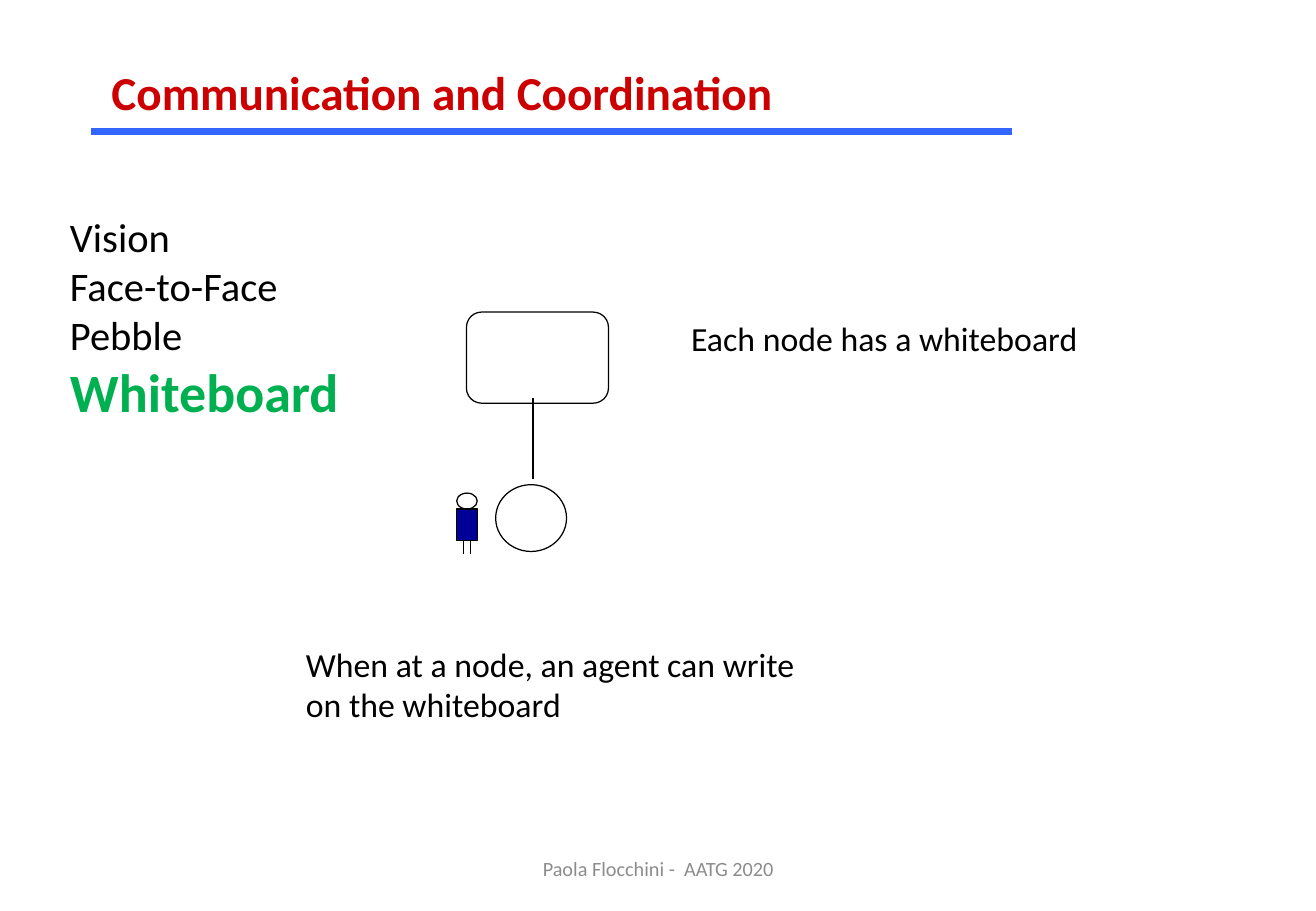
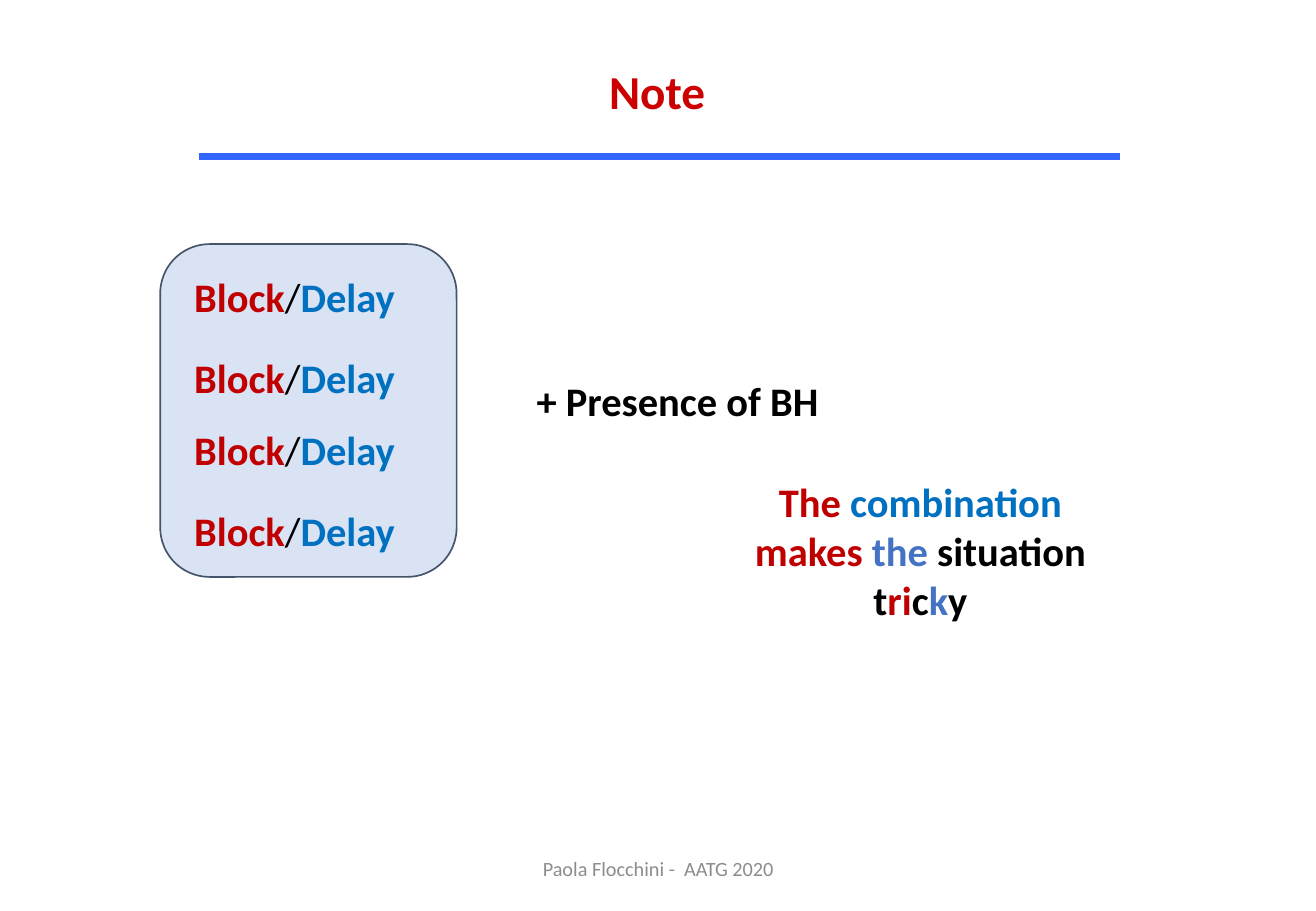
import pptx
import pptx.util
import pptx.dml.color
import pptx.enum.shapes
import pptx.enum.text
import pptx.oxml.ns
import lxml.etree

Pt = pptx.util.Pt
Kind = pptx.enum.shapes.MSO_SHAPE
Align = pptx.enum.text.PP_ALIGN
Mid = pptx.enum.text.MSO_ANCHOR.MIDDLE
INK = {
    "title": "CC0000", "rule": "3366FF", "foot": "8C8C8C", "black": "000000",
    "white": "FFFFFF", "navy": "000099", "green": "00B050", "red": "C00000",
    "sky": "0070C0", "blue": "4472C4", "pale": "DAE3F3", "slate": "44546A",
}
INK = {name: pptx.dml.color.RGBColor.from_string(code) for name, code in INK.items()}


def write(slide, text, box, size=24, ink="black", bold=False, align=Align.LEFT, anchor=None):
    """Add a text box. text is a list of lines; a line is a string or a list of
    (words, format) runs, where format overrides ink, bold or size."""
    frame = slide.shapes.add_textbox(*map(Pt, box)).text_frame
    frame.word_wrap = True
    if anchor is not None:
        frame.vertical_anchor = anchor
    for i, line in enumerate(text):
        para = frame.paragraphs[0] if i == 0 else frame.add_paragraph()
        para.alignment = align
        for words, form in [(line, {})] if isinstance(line, str) else line:
            run = para.add_run()
            run.text = words
            run.font.name = "Calibri"
            run.font.size = Pt(form.get("size", size))
            run.font.bold = form.get("bold", bold)
            run.font.color.rgb = INK[form.get("ink", ink)]


def draw(host, start, end, ink="black", width=0.75):
    """Add a straight line to a slide or group."""
    line = host.shapes.add_connector(
        pptx.enum.shapes.MSO_CONNECTOR.STRAIGHT, *map(Pt, start + end))
    line.line.color.rgb = INK[ink]
    line.line.width = Pt(width)
    props = line._element.spPr
    lxml.etree.SubElement(props, pptx.oxml.ns.qn("a:effectLst"))


deck = pptx.Presentation()
deck.slide_width, deck.slide_height = Pt(780), Pt(540)

# Title, title box, title alignment, start of the rule
heads = [
    ("Communication and Coordination", (59, 33.8, 417, 41), Align.LEFT, (54, 77.8)),
    ("Note", (154, 33.1, 471, 41), Align.CENTER, (118, 92.9)),
]
slides = []
for title, box, align, (left, top) in heads:
    slide = deck.slides.add_slide(deck.slide_layouts[6])
    write(slide, [title], box, size=28, ink="title", bold=True, align=align)
    draw(slide, (left, top), (left + 546, top), ink="rule", width=4)
    write(slide, ["Paola Flocchini -  AATG 2020"], (258.5, 500.4, 263.5, 28.8),
          size=12, ink="foot", align=Align.CENTER, anchor=Mid)
    slides.append(slide)
comm, note = slides

agent = comm.shapes.add_group_shape()
shapes = [
    (comm, Kind.OVAL, (293.8, 287.3, 42, 39.6), None, "black", 0.75),
    (comm, Kind.ROUNDED_RECTANGLE, (276.5, 185, 84.2, 54), "white", "black", 0.75),
    (agent, Kind.OVAL, (270.7, 292.3, 12.2, 9.4), "white", "black", 0.75),
    (agent, Kind.RECTANGLE, (270.7, 301.7, 12.2, 18.7), "navy", "black", 0.75),
    (note, Kind.ROUNDED_RECTANGLE, (95, 144.7, 175.7, 197.3), "pale", "slate", 1),
]
for host, kind, box, fill, edge, width in shapes:
    shape = host.shapes.add_shape(kind, *map(Pt, box))
    shape.shadow.inherit = False
    if fill:
        shape.fill.solid()
        shape.fill.fore_color.rgb = INK[fill]
    else:
        shape.fill.background()
    shape.line.color.rgb = INK[edge]
    shape.line.width = Pt(width)

# Communication slide
draw(comm, (316.1, 236.2), (316.1, 283.7), width=1.25)
for leg in (274.8, 278.8):
    draw(agent, (leg, 320.4), (leg, 328.5))
write(comm, ["Each node has a whiteboard"], (402.5, 185, 250, 32), size=20)
write(comm, ["When at a node, an agent can write", "on the whiteboard"],
      (174.2, 378, 312, 55.5), size=20)
means = ["Vision", "Face-to-Face", "Pebble",
         [("Whiteboard", {"size": 32, "ink": "green", "bold": True})]]
write(comm, means, (34.4, 122.4, 180, 133))

# Note slide
red, sky, blue, black = [{"ink": name} for name in ("red", "sky", "blue", "black")]
choice = [("Block", red), ("/", {"ink": "black", "bold": False}), ("Delay", sky)]
for top in (157.7, 205.9, 248.4, 296.6):
    write(note, [choice], (108, top, 162, 36), bold=True)
write(note, ["+ Presence of BH"], (311, 219.6, 188, 36), bold=True)
tricky = [
    [("The ", red), ("combination", sky), (" makes ", red), ("the", blue),
     (" situation", black)],
    [("t", black), ("ri", red), ("c", black), ("k", blue), ("y", black)],
]
write(note, tricky, (427, 279.4, 237, 94.3), bold=True, align=Align.CENTER)

deck.save("out.pptx")
